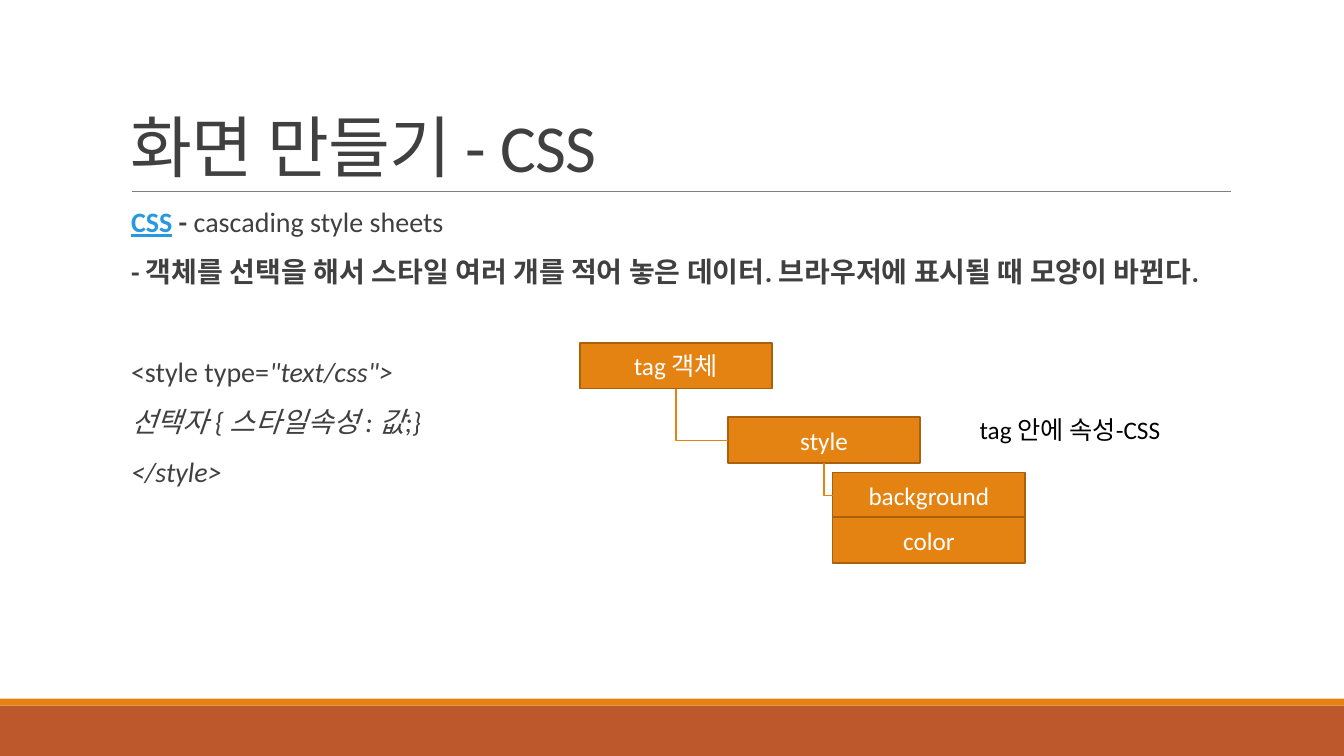
from lxml.etree import SubElement
from pptx import Presentation
from pptx.dml.color import RGBColor
from pptx.enum.shapes import MSO_CONNECTOR as CONN, MSO_SHAPE as SHAPE
from pptx.enum.text import MSO_ANCHOR as ANCHOR, PP_ALIGN as ALIGN
from pptx.oxml.ns import qn
from pptx.util import Inches, Pt

WIDTH, HEIGHT = Inches(13.33), Inches(7.5)
ORANGE, RUST, BROWN = "E48312", "BD582C", "A9610D"
DARK, GRAY, BLUE, WHITE, BLACK = "404040", "808080", "2998E3", "FFFFFF", "000000"
BOX_W, BOX_H = 14.33, 6.07


def across(share):
    """Turn a percentage of the slide width into a length."""
    return int(WIDTH * share / 100)


def down(share):
    """Turn a percentage of the slide height into a length."""
    return int(HEIGHT * share / 100)


def area(x, y, w, h):
    """Turn four percentages into left, top, width and height."""
    return across(x), down(y), across(w), down(h)


def paint(target, color):
    """Give a font or a line its solid colour."""
    target.color.rgb = RGBColor.from_string(color)


def add_run(p, text, size, color, bold=False, italic=False, underline=False):
    """Append one styled run to a paragraph."""
    r = p.add_run()
    r.text = text
    f = r.font
    f.name, f.size = "Calibri", Pt(size)
    f.bold, f.italic, f.underline = bold, italic, underline
    paint(f, color)
    return r


def add_rect(s, x, y, w, h, fill, border=None):
    """Add a flat rectangle with an optional border."""
    sp = s.shapes.add_shape(SHAPE.RECTANGLE, *area(x, y, w, h))
    sp.shadow.inherit = False
    sp.fill.solid()
    sp.fill.fore_color.rgb = RGBColor.from_string(fill)
    if border:
        paint(sp.line, border)
        sp.line.width = Pt(1.25)
    else:
        sp.line.fill.background()
    return sp


def add_node(s, x, y, label):
    """Add one labelled box of the tree."""
    sp = add_rect(s, x, y, BOX_W, BOX_H, ORANGE, BROWN)
    tf = sp.text_frame
    tf.vertical_anchor = ANCHOR.MIDDLE
    p = tf.paragraphs[0]
    p.alignment = ALIGN.CENTER
    add_run(p, label, 18, WHITE)
    return sp


def add_line(s, kind, ends, color, width):
    """Add a connector without a shadow."""
    c = s.shapes.add_connector(kind, *ends)
    paint(c.line, color)
    c.line.width = Pt(width)
    SubElement(c._element.spPr, qn("a:effectLst"))
    return c


def add_branch(s, parent, child):
    """Link a parent's bottom to a child's left side with one bend."""
    x1, y1 = parent.left + parent.width // 2, parent.top + parent.height
    x2, y2 = child.left, child.top + child.height // 2
    cx, cy = (x1 + x2) // 2, (y1 + y2) // 2
    half_w, half_h = (y2 - y1) // 2, (x2 - x1) // 2
    ends = cx + half_w, cy - half_h, cx - half_w, cy + half_h
    pr = add_line(s, CONN.ELBOW, ends, ORANGE, 1)._element.spPr
    pr.find(qn("a:xfrm")).set("rot", str(270 * 60000))
    pr.find(qn("a:prstGeom")).set("prst", "bentConnector2")


def add_text(s, x, y, w, h, anchor=ANCHOR.TOP):
    """Add a wrapping text box and return its frame."""
    tf = s.shapes.add_textbox(*area(x, y, w, h)).text_frame
    tf.word_wrap = True
    tf.vertical_anchor = anchor
    return tf


def add_title(s, text):
    """Add the slide heading."""
    p = add_text(s, 9, 4.13, 82.5, 21.2, ANCHOR.BOTTOM).paragraphs[0]
    p.line_spacing = 0.85
    r = add_run(p, text, 48, DARK)
    r.font._element.set("spc", "-50")


def add_body(s, lines):
    """Add the body, each line given as space before and styled runs."""
    tf = add_text(s, 9, 26.93, 82.5, 58.67)
    tf.margin_left = tf.margin_right = 0
    for i, (before, runs) in enumerate(lines):
        p = tf.add_paragraph() if i else tf.paragraphs[0]
        p.line_spacing = 0.9
        p.space_before, p.space_after = Pt(before), Pt(2)
        p._p.get_or_add_pPr().set("marL", str(Inches(0.1)))
        for text, color, style in runs:
            add_run(p, text, 20, color, **style)


def main():
    """Build and save the slide."""
    prs = Presentation()
    prs.slide_width, prs.slide_height = WIDTH, HEIGHT
    s = prs.slides.add_slide(prs.slide_layouts[6])
    add_rect(s, 0, 93.33, 100, 6.67, RUST)
    add_rect(s, 0, 92.4, 100, 0.93, ORANGE)
    rule = across(9.83), down(25.33), across(91.6), down(25.33)
    add_line(s, CONN.STRAIGHT, rule, GRAY, 0.5)
    add_title(s, "화면 만들기 - CSS")

    bold, italic = {"bold": True}, {"italic": True}
    add_body(s, [
        (12, [("CSS", BLUE, {"bold": True, "underline": True}),
              (" - ", DARK, bold), ("cascading style sheets", DARK, {})]),
        (12, [("- 객체를 선택을 해서 스타일 여러 개를 적어 놓은 데이터. "
               "브라우저에 표시될 때 모양이 바뀐다.", DARK, bold)]),
        (48, [("<style type=", DARK, {}), ('"text/css">', DARK, italic)]),
        (12, [("선택자 { 스타일속성 : 값;}", DARK, italic)]),
        (12, [("</style>", DARK, italic)]),
    ])

    tag = add_node(s, 43.13, 45.33, "tag 객체")
    style = add_node(s, 54.15, 55.2, "style")
    background = add_node(s, 61.95, 62.5, "background")
    add_node(s, 61.95, 68.4, "color")
    add_branch(s, tag, style)
    add_branch(s, style, background)
    note = add_text(s, 72.15, 54.13, 15.68, 5.33)
    add_run(note.paragraphs[0], "tag 안에 속성-CSS", 18, BLACK)
    prs.save("out.pptx")


main()
